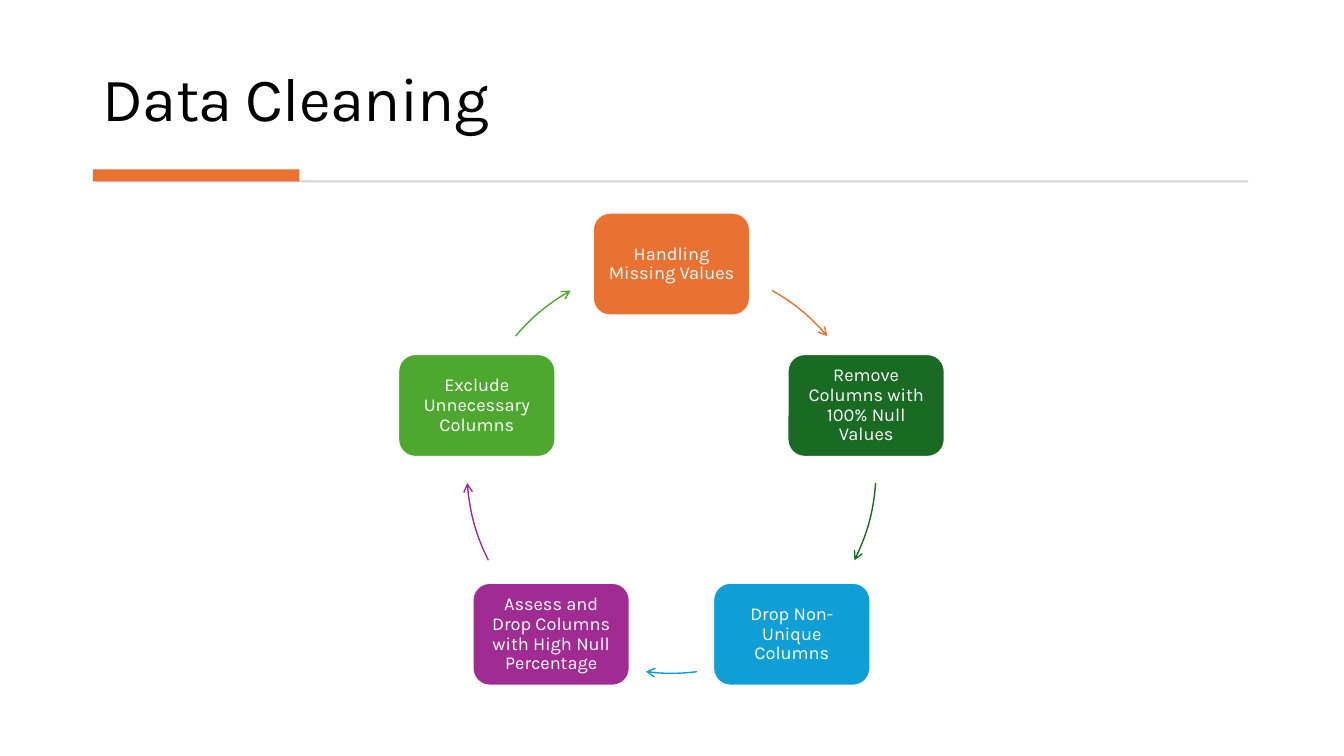
import math

import pptx
import pptx.dml.color
import pptx.enum.shapes
import pptx.enum.text
import pptx.util
from pptx.oxml import parse_xml
from pptx.oxml.ns import nsdecls

Inches, Pt = pptx.util.Inches, pptx.util.Pt
SHAPE = pptx.enum.shapes.MSO_SHAPE
ANCHOR = pptx.enum.text.MSO_ANCHOR
ALIGN = pptx.enum.text.PP_ALIGN


def rgb(value):
    return pptx.dml.color.RGBColor.from_string(value)


def add_shape(kind, left, top, width, height, fill=None, line=None, weight=1):
    sp = s.shapes.add_shape(kind, Inches(left), Inches(top), Inches(width), Inches(height))
    sp.shadow.inherit = False
    if fill:
        sp.fill.solid()
        sp.fill.fore_color.rgb = rgb(fill)
    else:
        sp.fill.background()
    if line:
        sp.line.color.rgb = rgb(line)
        sp.line.width = Pt(weight)
    else:
        sp.line.fill.background()
    return sp


prs = pptx.Presentation()
prs.slide_width, prs.slide_height = Inches(13.33), Inches(7.5)
s = prs.slides.add_slide(prs.slide_layouts[5])

# Title
title = s.shapes.title
title.left, title.top = Inches(0.92), Inches(0.28)
title.width, title.height = Inches(11.49), Inches(1.11)
tf = title.text_frame
tf.word_wrap = True
tf.vertical_anchor = ANCHOR.BOTTOM
p = tf.paragraphs[0]
p.alignment = ALIGN.LEFT
p.line_spacing = 0.9
r = p.add_run()
r.text = "Data Cleaning"
r.font.name, r.font.size = "Karla", Pt(44)
r.font.color.rgb = rgb("000000")
r.font._element.set("spc", "-50")

# Rule and accent bar under the title
add_shape(SHAPE.RECTANGLE, 0.95, 1.79, 11.43, 0.02, "D5D5D5")
add_shape(SHAPE.RECTANGLE, 0.92, 1.68, 2.05, 0.12, "E97132")

# Cycle: steps sit evenly on a circle, arcs run between them.
# Arc angles are degrees clockwise from the top.
cx, cy, radius = 6.66, 4.65, 2.03
node_w, node_h = 1.56, 1.02
steps = [
    ("Handling Missing Values", "E97132", 29.5, 49.6),
    ("Remove Columns with 100% Null Values", "196B24", 94, 116.6),
    ("Drop Non-Unique Columns", "0F9ED5", 172.8, 187.2),
    ("Assess and Drop Columns with High Null Percentage", "A02B93", 243.4, 266),
    ("Exclude Unnecessary Columns", "4EA72E", 310.4, 330.5),
]

for i, (text, color, start, end) in enumerate(steps):
    # Step box
    angle = math.radians(i * 360 / len(steps))
    x = cx + radius * math.sin(angle)
    y = cy - radius * math.cos(angle)
    node = add_shape(SHAPE.ROUNDED_RECTANGLE, x - node_w / 2, y - node_h / 2,
                     node_w, node_h, color, "FFFFFF", 1.5)
    tf = node.text_frame
    tf.word_wrap = True
    tf.vertical_anchor = ANCHOR.MIDDLE
    tf.margin_left = tf.margin_right = tf.margin_top = tf.margin_bottom = Inches(0.05)
    p = tf.paragraphs[0]
    p.alignment = ALIGN.CENTER
    p.line_spacing = 0.9
    r = p.add_run()
    r.text = text
    r.font.name, r.font.size = "Karla", Pt(13)
    r.font.color.rgb = rgb("FFFFFF")

    # Arc to the next step; adjustments count 0.6 per degree from due east
    arc = add_shape(SHAPE.ARC, cx - radius, cy - radius, 2 * radius, 2 * radius, line=color)
    for k, a in enumerate((start, end)):
        arc.adjustments[k] = (a - 90) % 360 * 0.6
    arc.line._get_or_add_ln().append(parse_xml(f'<a:tailEnd {nsdecls("a")} type="arrow"/>'))

prs.save("out.pptx")
